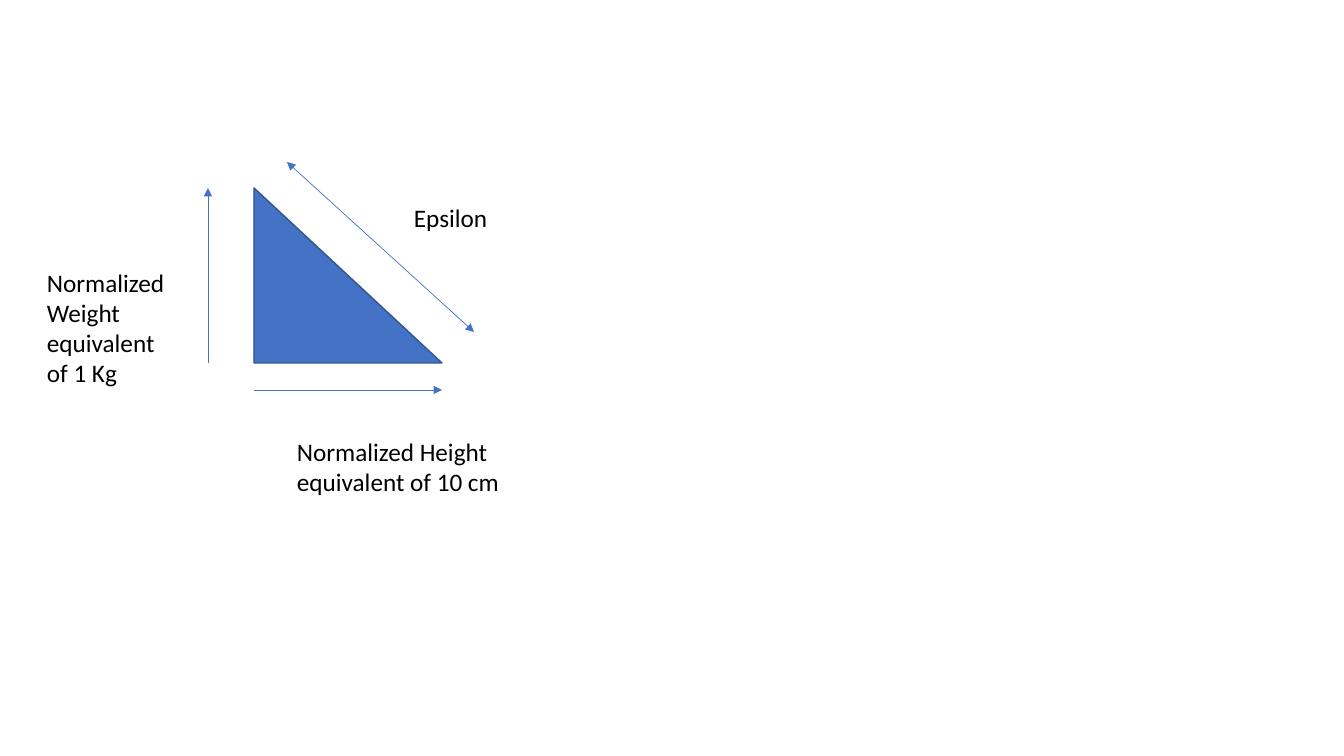
from lxml import etree
from pptx import Presentation, util as u
from pptx.dml.color import RGBColor
from pptx.enum import shapes, text
from pptx.oxml.ns import qn

PX = 914400 / 100.8  # EMU per pixel


def emu(*pixels):
    return [u.Emu(round(p * PX)) for p in pixels]


def color(hex_code):
    return RGBColor.from_string(hex_code)


class Diagram:
    font, size, ink = "Calibri", 18, "000000"
    fill, outline = "4472C4", "325491"

    def __init__(self, slide):
        self.shapes = slide.shapes

    def triangle(self, left, top, width, height):
        shape = self.shapes.add_shape(shapes.MSO_SHAPE.RIGHT_TRIANGLE,
                                      *emu(left, top, width, height))
        shape.shadow.inherit = False
        shape.fill.solid()
        shape.fill.fore_color.rgb = color(self.fill)
        shape.line.color.rgb = color(self.outline)
        shape.line.width = u.Pt(1)

    def arrow(self, start, end, ends=("tailEnd",)):
        line = self.shapes.add_connector(shapes.MSO_CONNECTOR.STRAIGHT,
                                         *emu(*start, *end))
        line.line.color.rgb = color(self.fill)
        line.line.width = u.Pt(0.5)
        for end_tag in ends:
            etree.SubElement(line.line._get_or_add_ln(), qn(f"a:{end_tag}"),
                             type="triangle")
        etree.SubElement(line._element.spPr, qn("a:effectLst"))

    def label(self, words, left, top, width, height):
        box = self.shapes.add_textbox(*emu(left, top, width, height))
        frame = box.text_frame
        frame.word_wrap = True
        frame.auto_size = text.MSO_AUTO_SIZE.SHAPE_TO_FIT_TEXT
        paragraph = frame.paragraphs[0]
        paragraph.text = words
        paragraph.font.name = self.font
        paragraph.font.size = u.Pt(self.size)
        paragraph.font.color.rgb = color(self.ink)


prs = Presentation()
prs.slide_width, prs.slide_height = u.Inches(13.333), u.Inches(7.5)
diagram = Diagram(prs.slides.add_slide(prs.slide_layouts[6]))

# Triangle of height, weight and epsilon
left, top, width, height = 254, 188, 188, 175
right, bottom = left + width, top + height
diagram.triangle(left, top, width, height)

# Arrows along the three sides
diagram.arrow((left, 390), (right, 390))
diagram.arrow((208, bottom), (208, top))
diagram.arrow((287, 162), (474, 332), ends=("headEnd", "tailEnd"))

# Side labels
diagram.label("Normalized Height equivalent of 10 cm", 287, 431, 271, 71)
diagram.label("Normalized Weight  equivalent of 1 Kg", 37, 262, 153, 132)
diagram.label("Epsilon", 404, 197, 130, 40)

prs.save("out.pptx")
